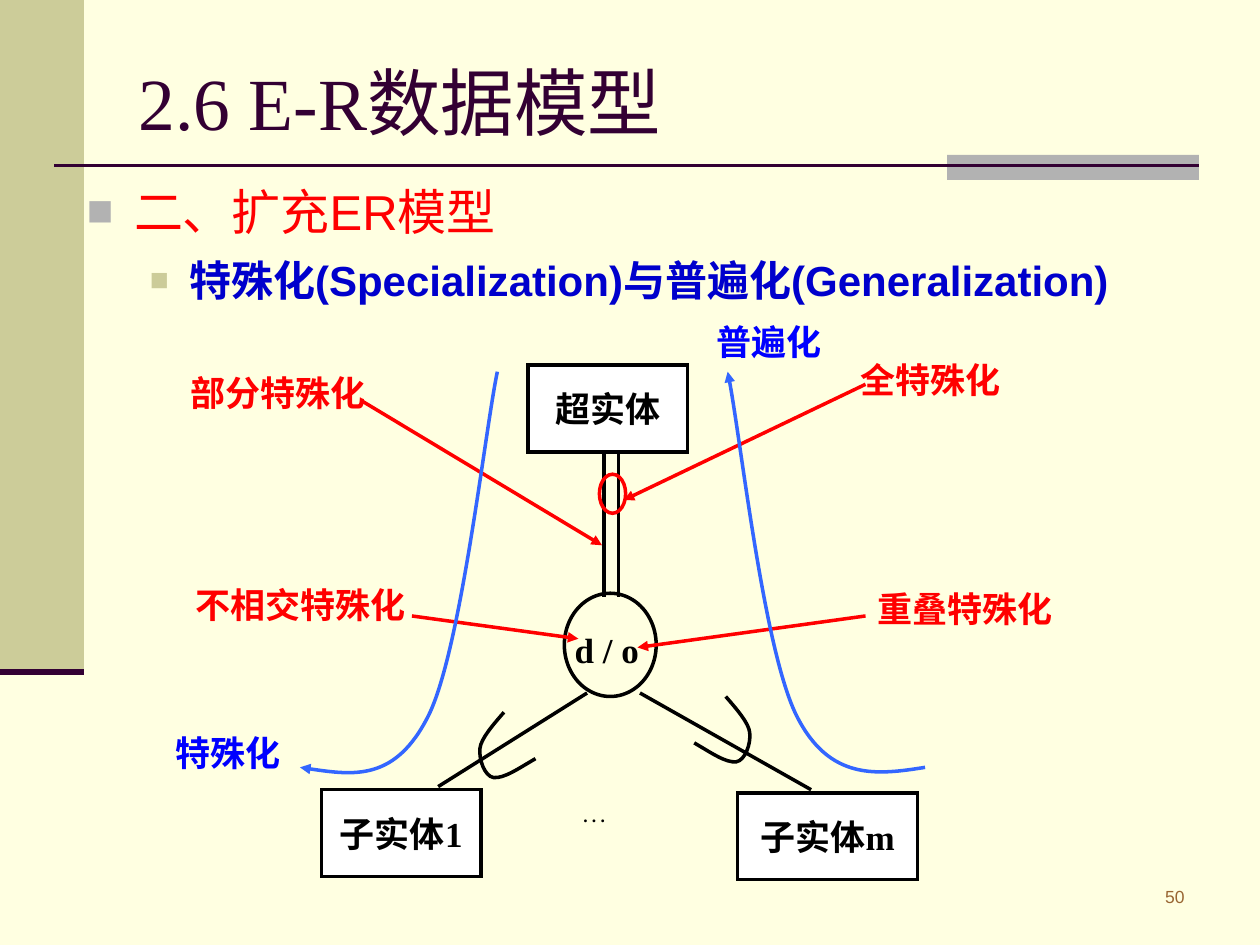
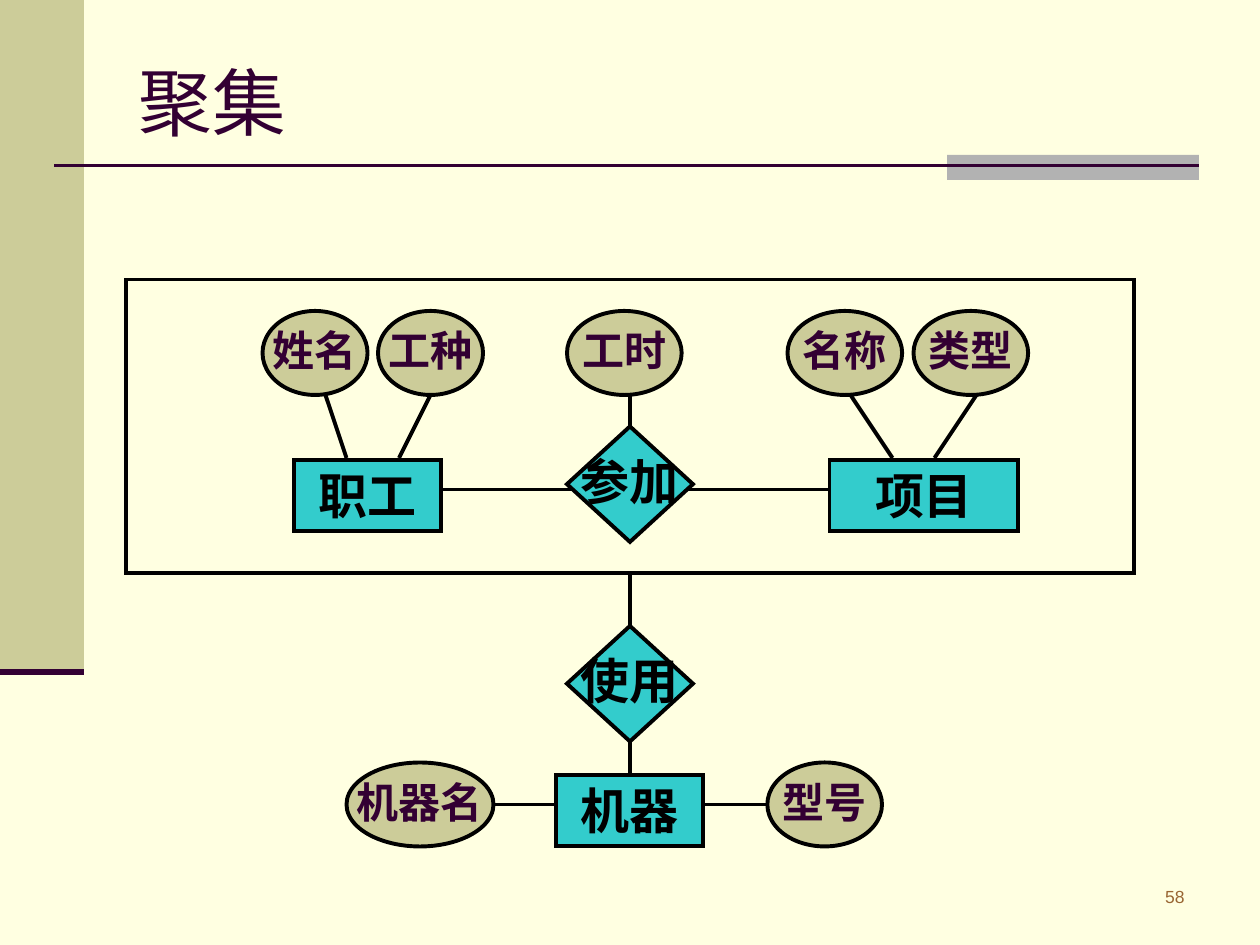
from collections import namedtuple
from dataclasses import dataclass

from lxml.etree import SubElement
from pptx import Presentation
from pptx.dml.color import RGBColor
from pptx.enum.shapes import MSO_CONNECTOR, MSO_SHAPE
from pptx.enum.text import MSO_ANCHOR, MSO_AUTO_SIZE, PP_ALIGN
from pptx.oxml.ns import qn
from pptx.util import Pt

Box = namedtuple("Box", "left top width height")


@dataclass(frozen=True)
class Theme:
    """Colours, fonts, type sizes and line widths of the deck."""
    paper: str = "FFFFE1"
    khaki: str = "CCCC99"
    plum: str = "330033"
    grey: str = "B2B2B2"
    brown: str = "996633"
    black: str = "000000"
    white: str = "FFFFFF"
    red: str = "FF0000"
    navy: str = "0000CC"
    blue: str = "0000FF"
    sweep: str = "3366FF"
    teal: str = "33CCCC"
    serif: str = "Times New Roman"
    sans: str = "Arial"
    title: float = 42
    topic: float = 28
    subtopic: float = 24
    label: float = 20
    small: float = 10
    rule: float = 1.5
    stub: float = 3.5
    thin: float = 2
    bold: float = 2.25


THEME = Theme()


def rgb(colour):
    """Turn a hex string into a colour."""
    return RGBColor.from_string(colour)


def style(paragraph, size, colour, font=THEME.serif, bold=False, align=PP_ALIGN.LEFT):
    """Format a paragraph and its runs."""
    paragraph.alignment = align
    for run in paragraph.runs:
        run.font.size = Pt(size)
        run.font.name = font
        run.font.bold = bold
        run.font.color.rgb = rgb(colour)


def stroke(line, colour, width, arrow=None):
    """Format a mitred outline, with a triangle at its headEnd or tailEnd if named."""
    line.color.rgb = rgb(colour)
    line.width = Pt(width)
    outline = line._get_or_add_ln()
    SubElement(outline, qn("a:miter"), lim="800000")
    if arrow:
        SubElement(outline, qn(f"a:{arrow}"), type="triangle")


def bend(outline):
    """Turn each three straight segments of a freeform into one cubic curve."""
    track = outline._element.find(f".//{qn('a:path')}")
    segments = track.findall(qn("a:lnTo"))
    for first in range(0, len(segments), 3):
        cubic = SubElement(track, qn("a:cubicBezTo"))
        for segment in segments[first:first + 3]:
            cubic.append(segment[0])
            track.remove(segment)


def mirror(points, axis_sum, lift=0):
    """Reflect points left to right and raise them."""
    return [(axis_sum - x, y - lift) for x, y in points]


class Region:
    """A box on a slide whose parts are placed relative to its corner."""

    def __init__(self, slide, box):
        """Remember the shapes of the slide and the corner of the box."""
        self.shapes = slide.shapes
        self.box = box

    def at(self, x, y):
        """Give the slide position of a point in the box."""
        return Pt(self.box.left + x), Pt(self.box.top + y)

    def shape(self, kind, x, y, width, height, fill=None, line=None, weight=THEME.thin):
        """Draw a preset shape."""
        shape = self.shapes.add_shape(kind, *self.at(x, y), Pt(width), Pt(height))
        shape.shadow.inherit = False
        if fill:
            shape.fill.solid()
            shape.fill.fore_color.rgb = rgb(fill)
        else:
            shape.fill.background()
        if line:
            stroke(shape.line, line, weight)
        else:
            shape.line.fill.background()
        return shape

    def text(self, words, x, y, width, height, size, colour, anchor=MSO_ANCHOR.TOP, **looks):
        """Write a wrapped text box."""
        frame = self.shapes.add_textbox(*self.at(x, y), Pt(width), Pt(height)).text_frame
        frame.word_wrap = True
        frame.vertical_anchor = anchor
        frame.text = words
        for paragraph in frame.paragraphs:
            style(paragraph, size, colour, **looks)
        return frame

    def line(self, start, end, colour=THEME.black, weight=THEME.thin, arrow=None):
        """Draw a straight connector."""
        connector = self.shapes.add_connector(
            MSO_CONNECTOR.STRAIGHT, *self.at(*start), *self.at(*end))
        stroke(connector.line, colour, weight, arrow)
        SubElement(connector._element.spPr, qn("a:effectLst"))

    def curve(self, points, colour, arrow=None):
        """Draw an open curve from a start and three points for each cubic part."""
        start, *rest = [self.at(*point) for point in points]
        builder = self.shapes.build_freeform(*start)
        builder.add_line_segments(rest, close=False)
        outline = builder.convert_to_shape()
        bend(outline)
        outline.shadow.inherit = False
        outline.fill.background()
        stroke(outline.line, colour, THEME.thin, arrow)


def add_frame(deck, heading, number):
    """Add a slide with the shared bands, title and page number."""
    slide = deck.slides.add_slide(deck.slide_layouts[5])
    slide.background.fill.solid()
    slide.background.fill.fore_color.rgb = rgb(THEME.paper)
    page = Region(slide, Box(0, 0, 720, 540))
    page.shape(MSO_SHAPE.RECTANGLE, 0, 0, 48, 384, THEME.khaki)
    page.shape(MSO_SHAPE.RECTANGLE, 541.2, 88.5, 144, 14.4, THEME.grey)
    page.line((31, 94.5), (685.2, 94.5), THEME.plum, THEME.rule)
    page.line((0, 384), (48, 384), THEME.plum, THEME.stub)
    page.text(number, 592.5, 502.5, 91.5, 25, THEME.small, THEME.brown,
              font=THEME.sans, align=PP_ALIGN.RIGHT)
    title = slide.shapes.title
    title.left, title.top, title.width, title.height = Pt(72), Pt(21.6), Pt(612), Pt(72.7)
    frame = title.text_frame
    frame.text = heading
    frame.auto_size = MSO_AUTO_SIZE.NONE
    frame.vertical_anchor = MSO_ANCHOR.MIDDLE
    style(frame.paragraphs[0], THEME.title, THEME.plum)
    return slide


def add_bullet(paragraph, indent, hang, colour, percent):
    """Give a paragraph a coloured square bullet and a hanging indent."""
    properties = paragraph._p.get_or_add_pPr()
    properties.set("marL", str(Pt(indent)))
    properties.set("indent", str(-Pt(hang)))
    SubElement(SubElement(properties, qn("a:buClr")), qn("a:srgbClr"), val=colour)
    SubElement(properties, qn("a:buSzPct"), val=str(percent * 1000))
    SubElement(properties, qn("a:buFont"), typeface=THEME.sans)
    SubElement(properties, qn("a:buChar"), char="■")


def add_outline(slide, box):
    """Write the topic and its subtopic as bullets."""
    frame = Region(slide, box).text(
        "二、扩充ER模型\n特殊化(Specialization)与普遍化(Generalization)",
        0, 0, box.width, box.height, THEME.topic, THEME.red, font=THEME.sans)
    topic, subtopic = frame.paragraphs
    add_bullet(topic, 27, 27, THEME.grey, 90)
    add_bullet(subtopic, 58.5, 22.5, THEME.khaki, 75)
    subtopic.level = 1
    subtopic.space_before = Pt(8.2)
    style(subtopic, THEME.subtopic, THEME.navy, THEME.sans, True)


def add_specialization(slide, box):
    """Draw the super-entity, its sub-entities and the kinds of specialization."""
    region = Region(slide, box)
    centred = {"bold": True, "align": PP_ALIGN.CENTER}

    for words, x, y, width in (("超实体", 219.8, 29.6, 91), ("子实体1", 101.8, 272.2, 91),
                               ("子实体m", 339.4, 274, 103)):
        entity = region.shape(MSO_SHAPE.RECTANGLE, x, y, width, 49.7, THEME.white, THEME.black)
        entity.text_frame.text = words
        entity.text_frame.vertical_anchor = MSO_ANCHOR.MIDDLE
        style(entity.text_frame.paragraphs[0], THEME.label, THEME.black, **centred)

    region.text("d / o", 225.5, 167.5, 78.5, 49.7, THEME.label, THEME.black,
                MSO_ANCHOR.MIDDLE, **centred)
    region.shape(MSO_SHAPE.OVAL, 240.5, 160, 52.5, 59, line=THEME.black)
    for start, end in (((253.5, 217), (168.4, 270.5)), ((283.7, 217), (381.5, 272.3)),
                       ((263.3, 162), (263.3, 79.5)), ((271.5, 162), (271.5, 79.5))):
        region.line(start, end)

    hook = [(206, 228), (199.5, 235.5), (193, 243), (192.3, 248.5), (191.5, 255),
            (195, 264.5), (200, 265.3), (206, 266), (214.5, 260), (224, 254.5)]
    region.curve(hook, THEME.black)
    region.curve(mirror(hook, 538.7, 9), THEME.black)
    region.text(". . .", 244.2, 277.5, 49, 42.5, THEME.small, THEME.black,
                bold=True, align=PP_ALIGN.JUSTIFY)

    region.shape(MSO_SHAPE.OVAL, 260.5, 92, 15, 22.3, line=THEME.red)
    for start, target in (((412.6, 40.6), (274.4, 106.8)), ((124.6, 50), (262, 132.6)),
                          ((153.4, 173), (248.5, 186)), ((412.6, 173), (282.3, 191))):
        region.line(start, target, THEME.red, arrow="tailEnd")

    sweep = [(89.4, 259.5), (116.7, 263.8), (144, 267.4), (162.8, 230),
             (181.5, 192.5), (195.2, 66.5), (202.2, 33.4)]
    region.curve(sweep, THEME.sweep, "headEnd")
    region.curve(mirror(sweep, 536), THEME.sweep, "tailEnd")

    for words, x, y, width, height, colour in (
            ("部分特殊化", 17.2, 29.8, 119.5, 49.7, THEME.red),
            ("全特殊化", 397.6, 22.3, 104.4, 49.7, THEME.red),
            ("不相交特殊化", 17.2, 150.8, 145.4, 49.7, THEME.red),
            ("重叠特殊化", 405.7, 153, 127.4, 49.7, THEME.red),
            ("特殊化", 0, 235.7, 96.5, 49.7, THEME.blue),
            ("普遍化", 312.1, 0.7, 90.7, 33.8, THEME.blue)):
        region.text(words, x, y, width, height, THEME.label, colour, **centred)


def add_aggregation(slide, box):
    """Draw the aggregated relationship and the one that uses it."""
    region = Region(slide, box)
    region.shape(MSO_SHAPE.RECTANGLE, 0, 0, box.width, 168, line=THEME.black, weight=THEME.bold)

    for start, end in (((180, 120), (264, 120)), ((318, 120), (402, 120)),
                       ((126, 102), (114, 66)), ((156, 102), (174, 66)),
                       ((438, 102), (414, 66)), ((462, 102), (486, 66)),
                       ((288, 66), (288, 84)), ((288, 168), (288, 198)),
                       ((288, 264), (288, 282)), ((246, 300), (210, 300)),
                       ((366, 300), (330, 300))):
        region.line(start, end, weight=THEME.bold)

    def node(kind, words, x, y, width, height, fill, size, colour):
        """Draw one part of the diagram with its name."""
        shape = region.shape(kind, x, y, width, height, fill, THEME.black, THEME.bold)
        frame = shape.text_frame
        frame.text = words
        style(frame.paragraphs[0], size, colour, bold=True, align=PP_ALIGN.CENTER)
        if kind == MSO_SHAPE.RECTANGLE:
            frame.vertical_anchor = MSO_ANCHOR.TOP
            frame.auto_size = MSO_AUTO_SIZE.SHAPE_TO_FIT_TEXT
        else:
            frame.vertical_anchor = MSO_ANCHOR.MIDDLE
            frame.word_wrap = False
            frame.paragraphs[0].line_spacing = 0.9

    for words, x, y, width in (("职工", 96, 103, 84), ("项目", 402, 103, 108),
                               ("机器", 245.8, 283, 84)):
        node(MSO_SHAPE.RECTANGLE, words, x, y, width, 41, THEME.teal, THEME.topic, THEME.black)
    for words, y in (("参加", 84), ("使用", 198)):
        node(MSO_SHAPE.DIAMOND, words, 252, y, 72, 66, THEME.teal, THEME.topic, THEME.black)
    for words, x, y, width in (("姓名", 78, 18, 60), ("工种", 144, 18, 60),
                               ("工时", 252, 18, 65.5), ("名称", 378, 18, 65.5),
                               ("类型", 450, 18, 65.5), ("机器名", 126, 276, 84),
                               ("型号", 366.5, 276, 65.5)):
        node(MSO_SHAPE.OVAL, words, x, y, width, 48, THEME.khaki, THEME.subtopic, THEME.plum)


def main():
    """Build the deck and save it."""
    deck = Presentation()
    deck.slide_width, deck.slide_height = Pt(720), Pt(540)
    extended = add_frame(deck, "2.6 E-R数据模型", "50")
    add_outline(extended, Box(42.5, 100, 641.5, 80))
    add_specialization(extended, Box(82, 179, 534, 324))
    aggregation = add_frame(deck, "聚集", "58")
    add_aggregation(aggregation, Box(72, 159.7, 576, 324))
    deck.save("out.pptx")


if __name__ == "__main__":
    main()
